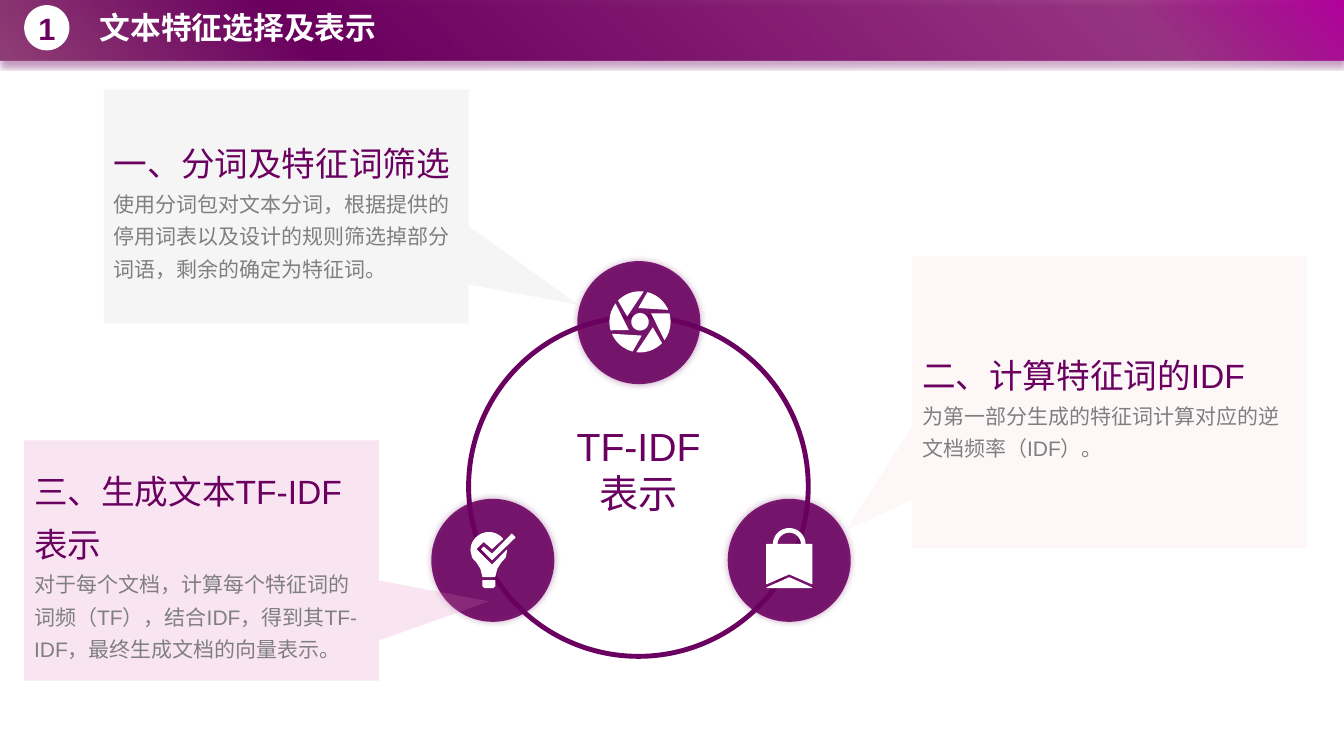
from dataclasses import dataclass
from math import cos, radians, sin

from lxml.etree import SubElement
from pptx import Presentation
from pptx.dml.color import RGBColor
from pptx.enum.shapes import MSO_SHAPE as Preset
from pptx.enum.text import MSO_ANCHOR as Anchor, PP_ALIGN as Align
from pptx.oxml.ns import qn
from pptx.util import Cm, Pt

COLORS = {
    "purple": "6A005F", "white": "FFFFFF", "gray": "7F7F7F", "magenta": "B4009E",
    "plum": "88136E", "mauve": "8F3D75", "pink": "DC7FB9", "silver": "D0CECE", "rose": "FBD9DF",
}
FONT = "Arial"
Points = list[tuple[float, float]]


@dataclass
class Box:
    left: float
    top: float
    width: float
    height: float

    def emu(self) -> list[int]:
        return [Cm(v) for v in (self.left, self.top, self.width, self.height)]


@dataclass
class Glow:
    blur: float
    dist: float = 0
    angle: int = 0


@dataclass
class Callout:
    box: Box
    color: str
    tip: tuple[float, float]
    heading: str
    body: str


@dataclass
class Icon:
    x: float
    y: float
    outline: float
    polygons: list[Points]


def arc(radius: float, start: int, end: int, steps: int = 16) -> Points:
    angles = [radians(start + (end - start) * i / steps) for i in range(steps + 1)]
    return [(radius * cos(a), radius * sin(a)) for a in angles]


def mirror(points: Points) -> Points:
    """Return the points with x negated, in reverse order."""
    return [(-x, y) for x, y in reversed(points)]


def add_color(parent, color: str, alpha: int = 100) -> None:
    clr = SubElement(parent, qn("a:srgbClr"), val=COLORS[color])
    if alpha < 100:
        SubElement(clr, qn("a:alpha"), val=str(alpha * 1000))


def paint(s, color: str, alpha: int = 100, outline: float = 0) -> None:
    s.shadow.inherit = False
    s.fill.solid()
    s.fill.fore_color.rgb = RGBColor.from_string(COLORS[color])
    if alpha < 100:
        clr = s._element.spPr.find(qn("a:solidFill"))[0]
        SubElement(clr, qn("a:alpha"), val=str(alpha * 1000))
    if outline:
        s.line.color.rgb = RGBColor.from_string(COLORS[color])
        s.line.width = Pt(outline)
    else:
        s.line.fill.background()


def add_glow(s, glow: Glow) -> None:
    effects = s._element.spPr.find(qn("a:effectLst"))
    shadow = SubElement(effects, qn("a:outerShdw"), blurRad=str(Pt(glow.blur)),
                        dist=str(Pt(glow.dist)), dir=str(glow.angle * 60000),
                        algn="ctr", rotWithShape="0")
    add_color(shadow, "purple", 40)


def add_filled(slide, preset, box: Box, color: str, alpha: int = 100):
    s = slide.shapes.add_shape(preset, *box.emu())
    paint(s, color, alpha)
    return s


def write(p, text: str, size: int, color: str, bold: bool = False,
          align=Align.LEFT, spacing: float = 1.0) -> None:
    p.alignment, p.line_spacing = align, spacing
    r = p.add_run()
    r.text = text
    for name, value in {"name": FONT, "size": Pt(size), "bold": bold}.items():
        setattr(r.font, name, value)
    r.font.color.rgb = RGBColor.from_string(COLORS[color])


def add_label(slide, box: Box, text: str, anchor=Anchor.TOP, inset: bool = True, **style) -> None:
    tf = slide.shapes.add_textbox(*box.emu()).text_frame
    tf.word_wrap, tf.vertical_anchor = True, anchor
    if not inset:
        for side in ("left", "top", "right", "bottom"):
            setattr(tf, f"margin_{side}", 0)
    write(tf.paragraphs[0], text, **style)


def add_header(slide) -> None:
    bar = add_filled(slide, Preset.RECTANGLE, Box(0, -0.08, 33.87, 1.6), "purple")
    add_glow(bar, Glow(4, 3, 90))
    bar.fill.gradient()
    bar.fill.gradient_angle = 225
    stops = bar._element.spPr.find(qn("a:gradFill")).find(qn("a:gsLst"))
    for stop in list(stops):
        stops.remove(stop)
    for pos, color, alpha in [(0, "magenta", 100), (16, "plum", 78), (77, "purple", 100),
                              (99, "mauve", 100), (100, "mauve", 100)]:
        add_color(SubElement(stops, qn("a:gs"), pos=str(pos * 1000)), color, alpha)
    add_filled(slide, Preset.OVAL, Box(0.61, 0.13, 1.14, 1.14), "white")
    style = {"size": 22, "bold": True, "spacing": 0.9}
    add_label(slide, Box(0.61, 0.22, 1.14, 1.12), "1", Anchor.MIDDLE,
              color="purple", align=Align.CENTER, **style)
    add_label(slide, Box(2.26, 0.2, 8.94, 1.12), "文本特征选择及表示", color="white", **style)


def add_ring(slide) -> None:
    ring = add_filled(slide, Preset.OVAL, Box(11.81, 7.98, 8.56, 8.56), "purple")
    ring.fill.background()
    ring.line.color.rgb = RGBColor.from_string(COLORS["purple"])
    ring.line.width = Pt(3.5)
    add_label(slide, Box(14.1, 10.64, 3.99, 2.39), "TF-IDF表示", inset=False,
              size=28, color="purple", align=Align.CENTER)


def add_disc(slide, x: float, y: float, diameter: float = 3.1) -> None:
    box = Box(x - diameter / 2, y - diameter / 2, diameter, diameter)
    add_glow(add_filled(slide, Preset.OVAL, box, "purple", 88), Glow(5))


def add_icon(slide, icon: Icon) -> None:
    for polygon in icon.polygons:
        start, *rest = [(Cm(icon.x + x), Cm(icon.y + y)) for x, y in polygon]
        builder = slide.shapes.build_freeform(*start)
        builder.add_line_segments(rest, close=True)
        paint(builder.convert_to_shape(), "white", outline=icon.outline)


def add_callout(slide, c: Callout) -> None:
    s = add_filled(slide, Preset.RECTANGULAR_CALLOUT, c.box, c.color, 20)
    s.adjustments[0], s.adjustments[1] = c.tip
    tf = s.text_frame
    tf.word_wrap, tf.vertical_anchor = True, Anchor.MIDDLE
    write(tf.paragraphs[0], c.heading, 24, "purple", spacing=1.3)
    write(tf.add_paragraph(), c.body, 15, "gray", spacing=1.3)


BULB_SIDE = [(-0.41, 0.18), (-0.3, 0.3), (-0.2, 0.46), (-0.15, 0.66)]
BASE_SIDE = [(-0.1, 0.94), (-0.15, 0.9), (-0.15, 0.76)]
BULB_NOTCH = [(0.08, 0.38), (-0.33, -0.03), (-0.13, -0.23), (0.08, -0.05)]
CHECK = [(0.58, -0.41), (0.08, 0.1), (-0.13, -0.08), (-0.18, -0.03), (0.08, 0.23), (0.66, -0.33)]
ICONS = [
    Icon(16.13, 8.11, 0, [arc(0.22, 0, 360, 36)] + [
        arc(0.35, turn - 37, turn - 37, 1)[:1] + arc(0.77, turn - 16, turn + 37)
        for turn in range(0, 360, 60)]),
    Icon(12.32, 13.87, 0.75, [
        BULB_NOTCH + arc(0.45, -40, -180) + BULB_SIDE + mirror(BULB_SIDE) + [(0.45, 0)],
        BASE_SIDE + mirror(BASE_SIDE), CHECK]),
    Icon(19.89, 13.72, 0.75, [
        arc(0.4, 180, 360) + arc(0.31, 360, 180),
        [(-0.57, 0), (0.57, 0), (0.57, 0.99), (0, 0.74), (-0.57, 0.99)],
        [(0, 0.84), (0.56, 1.09), (-0.56, 1.09)]]),
]
DISC_CENTERS = [(16.1, 8.13), (12.42, 14.12), (19.89, 14.12)]
CALLOUTS = [
    Callout(Box(0.61, 11.1, 8.94, 6.05), "pink", (0.81, 0.17), "三、生成文本TF-IDF表示",
            "对于每个文档，计算每个特征词的词频（TF），结合IDF，得到其TF-IDF，最终生成文档的向量表示。"),
    Callout(Box(2.62, 2.26, 9.19, 5.89), "silver", (0.8, 0.42), "一、分词及特征词筛选",
            "使用分词包对文本分词，根据提供的停用词表以及设计的规则筛选掉部分词语，剩余的确定为特征词。"),
    Callout(Box(22.99, 6.45, 9.93, 7.37), "rose", (-0.67, 0.44), "二、计算特征词的IDF",
            "为第一部分生成的特征词计算对应的逆文档频率（IDF）。"),
]


def main() -> None:
    prs = Presentation()
    prs.slide_width, prs.slide_height = Cm(33.87), Cm(19.05)
    slide = prs.slides.add_slide(prs.slide_layouts[6])
    add_header(slide)
    add_ring(slide)
    for center, icon in zip(DISC_CENTERS, ICONS):
        add_disc(slide, *center)
        add_icon(slide, icon)
    for callout in CALLOUTS:
        add_callout(slide, callout)
    prs.save("out.pptx")


if __name__ == "__main__":
    main()
